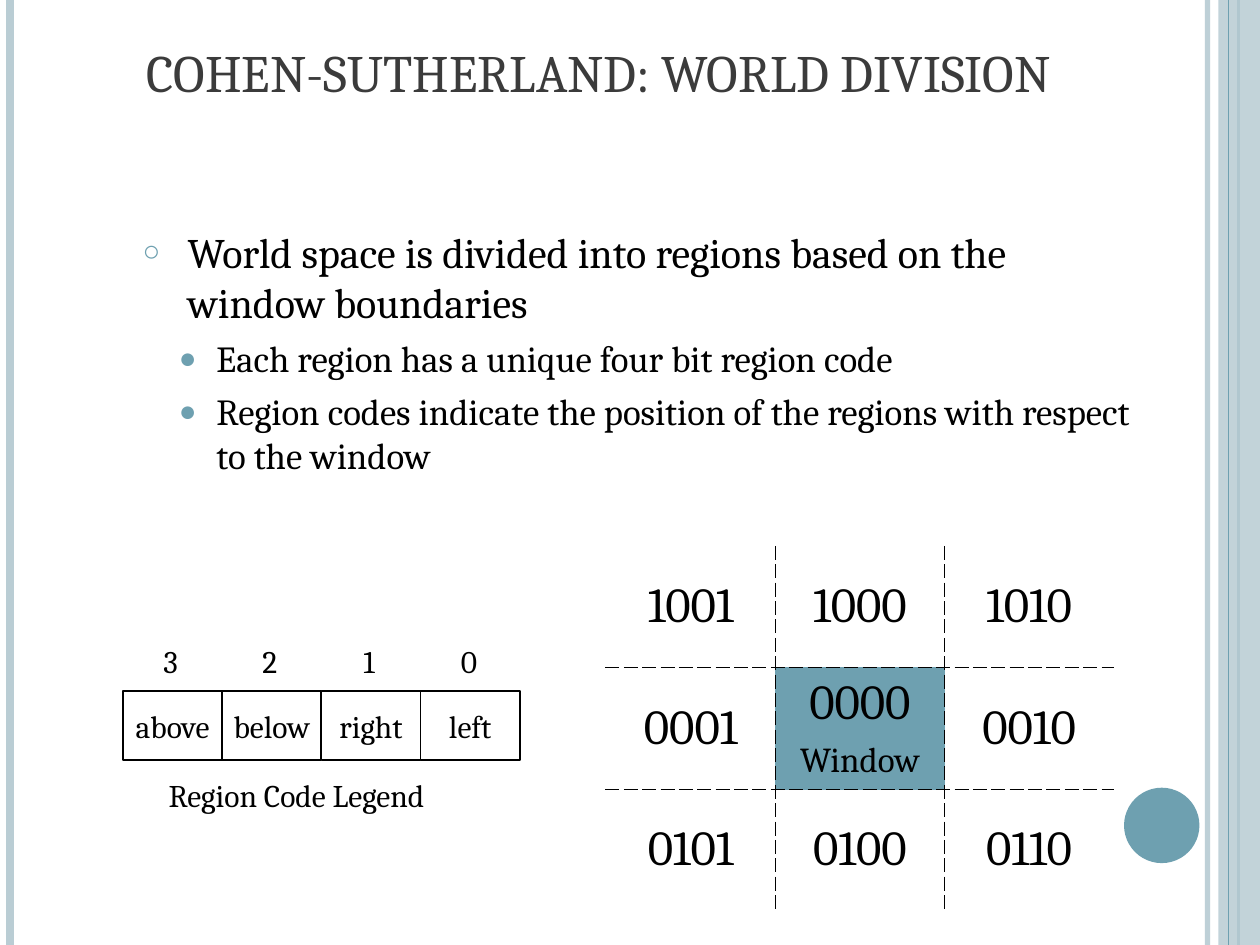
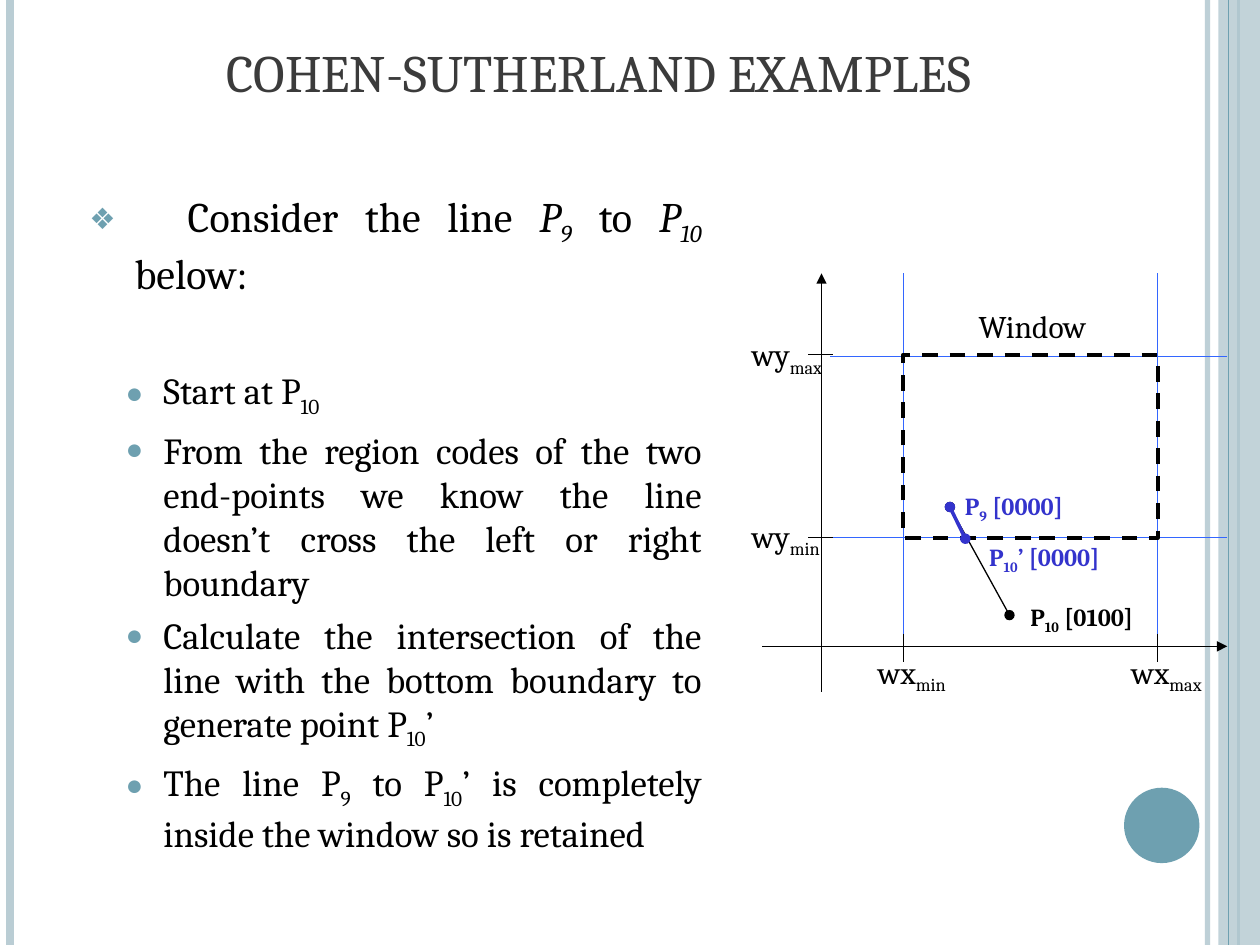
from lxml.etree import SubElement as Sub
from pptx import Presentation
from pptx.dml.color import RGBColor
from pptx.enum.dml import MSO_LINE as Dash
from pptx.enum.shapes import MSO_CONNECTOR as Link, MSO_SHAPE as Kind
from pptx.enum.text import MSO_ANCHOR as Anchor, MSO_AUTO_SIZE as Fit, PP_ALIGN as Align
from pptx.oxml import parse_xml
from pptx.oxml.ns import nsdecls, qn
from pptx.util import Cm, Pt

# Shared look
FONT = "Cambria"
TEAL, PALE, GREY = "6EA0B0", "BACDD4", "3B3B3B"
BLACK, GUIDE, BLUE = "000000", "3366FF", "3333CC"
WIDE, HIGH = 25.4, 19.05
TITLE = (1.7, 0, 20.75, 2.21)
STRIPES = [(24.34, PALE, 3), (0.21, PALE, 4.5), (24.97, TEAL, 1.5)]
LEVELS = [  # margin, hang, size, space before, bullet size
    (1.19, 0.91, 24, 6, 70),
    (1.77, 0.76, 21, 5.2, 80),
]
STOP = 2.26

# Content: _ marks a subscript, * marks italics
WORLD = {
    "title": "COHEN-SUTHERLAND: WORLD DIVISION",
    "box": (2.34, 4.43, 20.75, 13.54),
    "align": Align.LEFT,
    "gap": 5.2,
    "list": [
        (0, "○", "World space is divided into regions based on the window boundaries"),
        (1, "●", "Each region has a unique four bit region code"),
        (1, "●", "Region codes indicate the position of the regions with respect to the window"),
    ],
}
CASE = {
    "title": "COHEN-SUTHERLAND EXAMPLES",
    "box": (1.27, 3.71, 13.13, 12.8),
    "align": Align.JUSTIFY,
    "gap": 40,
    "list": [
        (0, "❖", "\tConsider the line *P_9_* to *P_10_* below:"),
        (1, "●", "Start at P_10_"),
        (1, "●", "From the region codes of the two end-points we know the line "
                 "doesn’t cross the left or right boundary"),
        (1, "●", "Calculate the intersection of the line with the bottom boundary "
                 "to generate point P_10_’"),
        (1, "●", "The line P_9_ to P_10_’ is completely inside the window so is retained"),
    ],
}
CODES = [
    ["1001", "1000", "1010"],
    ["0001", "0000", "0010"],
    ["0101", "0100", "0110"],
]
BITS = [("3", "above"), ("2", "below"), ("1", "right"), ("0", "left")]

# Graph measures
LEFT, RIGHT, TOP, BASE = 18.21, 23.34, 7.15, 10.84
AXIS_X, AXIS_Y, FAR, PEAK = 16.56, 13.03, 24.74, 5.51
P9, CUT, P10 = (19.15, 10.22), (19.46, 10.86), (20.35, 12.4)
LABELS = [
    ("wy_max_", (14.91, 6.63, 2, 1.12), 18, BLACK),
    ("wy_min_", (14.91, 10.29, 1.95, 1.12), 18, BLACK),
    ("wx_min_", (17.45, 13.03, 1.95, 1.12), 18, BLACK),
    ("wx_max_", (22.56, 13.03, 2, 1.12), 18, BLACK),
    ("Window", (19.48, 6.07, 2.75, 1.02), 18, BLACK),
    ("P_10_ [0100]", (20.52, 12.01, 2.65, 0.94), 14, BLACK),
    ("P_9_ [0000]", (19.2, 9.78, 2.55, 0.94), 14, BLUE),
    ("P_10_’ [0000]", (19.69, 10.8, 2.8, 0.94), 14, BLUE),
]


def rgb(code):
    return RGBColor.from_string(code)


def cms(box):
    return [Cm(n) for n in box]


def write(para, text, size, color=BLACK, bold=False):
    """Add the text run by run, reading the _ and * marks."""
    for i, part in enumerate(text.split("*")):
        for j, bit in enumerate(part.split("_")):
            if not bit:
                continue
            run = para.add_run()
            run.text = bit
            font = run.font
            font.name, font.size, font.bold = FONT, Pt(size), bold
            font.italic = i % 2 == 1
            font.color.rgb = rgb(color)
            if j % 2:
                font._element.set("baseline", "-25000")


def fade(fill, share):
    """Make a solid fill partly transparent."""
    tint = fill._xPr.find(qn("a:solidFill"))[0]
    Sub(tint, qn("a:alpha"), val=str(share * 1000))


def draw(slide, start, end, color=BLACK, width=0.75, head=None, tail=None):
    line = slide.shapes.add_connector(Link.STRAIGHT, *cms(start + end))
    line.line.color.rgb = rgb(color)
    line.line.width = Pt(width)
    for tag, tip in (("a:headEnd", head), ("a:tailEnd", tail)):
        if tip:
            Sub(line.line._get_or_add_ln(), qn(tag), type=tip)
    Sub(line._element.spPr, qn("a:effectLst"))
    return line


def block(slide, kind, box, fill=None, edge=None, width=1):
    shape = slide.shapes.add_shape(kind, *cms(box))
    shape.shadow.inherit = False
    if fill:
        shape.fill.solid()
        shape.fill.fore_color.rgb = rgb(fill)
    else:
        shape.fill.background()
    if edge:
        shape.line.color.rgb = rgb(edge)
        shape.line.width = Pt(width)
    else:
        shape.line.fill.background()
    return shape


def label(slide, text, box, size=18, color=BLACK, bold=False, align=Align.LEFT):
    frame = slide.shapes.add_textbox(*cms(box)).text_frame
    frame.word_wrap = False
    frame.auto_size = Fit.SHAPE_TO_FIT_TEXT
    para = frame.paragraphs[0]
    para.alignment = align
    write(para, text, size, color, bold)


def place(holder, box):
    holder.left, holder.top, holder.width, holder.height = cms(box)
    frame = holder.text_frame
    frame.auto_size = Fit.NONE
    return frame


def bullet(para, mark, scale):
    props = para._p.get_or_add_pPr()
    tint = Sub(props, qn("a:buClr"))
    Sub(tint, qn("a:srgbClr"), val=TEAL)
    Sub(props, qn("a:buSzPct"), val=str(scale * 1000))
    Sub(props, qn("a:buChar"), char=mark)


def start(deck, data):
    """Add a slide with the side bands, title and list."""
    slide = deck.slides.add_slide(deck.slide_layouts[1])
    for x, color, width in STRIPES:
        line = draw(slide, (x, 0), (x, HIGH), color, width)
        if width == 3:
            fade(line.line.fill, 93)
    band = block(slide, Kind.RECTANGLE, (24.56, 0, 0.84, HIGH), PALE)
    fade(band.fill, 87)
    draw(slide, (24.77, 0), (24.77, HIGH), TEAL)
    block(slide, Kind.OVAL, (22.66, 15.88, 1.52, 1.52), TEAL)

    frame = place(slide.shapes.title, TITLE)
    frame.vertical_anchor = Anchor.BOTTOM
    frame.paragraphs[0].alignment = Align.CENTER
    write(frame.paragraphs[0], data["title"], 30, GREY)

    frame = place(slide.placeholders[1], data["box"])
    for i, (level, mark, text) in enumerate(data["list"]):
        para = frame.paragraphs[0] if i == 0 else frame.add_paragraph()
        margin, hang, size, space, scale = LEVELS[level]
        bullet(para, mark, scale)
        props = para._p.get_or_add_pPr()
        if text.startswith("\t"):
            tabs = Sub(props, qn("a:tabLst"))
            Sub(tabs, qn("a:tab"), pos=str(Cm(STOP)), algn="l")
        props.set("marL", str(Cm(margin)))
        props.set("indent", str(-Cm(hang)))
        para.level, para.alignment = level, data["align"]
        para.space_before = Pt((0, data["gap"])[i] if i < 2 else space)
        write(para, text, size)
    return slide


def border(cell, sides):
    props = cell._tc.get_or_add_tcPr()
    for i, side in enumerate(sides):
        props.insert(i, parse_xml(
            f'<a:ln{side} {nsdecls("a")} w="5715"><a:solidFill>'
            f'<a:srgbClr val="{BLACK}"/></a:solidFill>'
            f'<a:prstDash val="dash"/></a:ln{side}>'))


def regions(slide):
    """Nine region codes, with dashed lines between them only."""
    table = slide.shapes.add_table(3, 3, *cms((12.22, 11.02, 10.23, 7.34))).table
    table.first_row = table.horz_banding = False
    for n, high in enumerate((2.43, 2.47, 2.43)):
        table.columns[n].width, table.rows[n].height = Cm(3.41), Cm(high)
    for r, codes in enumerate(CODES):
        for c, code in enumerate(codes):
            cell = table.cell(r, c)
            cell.vertical_anchor = Anchor.MIDDLE
            frame = cell.text_frame
            write(frame.paragraphs[0], code, 28)
            if r == c == 1:
                cell.fill.solid()
                cell.fill.fore_color.rgb = rgb(TEAL)
                para = frame.add_paragraph()
                para.space_before = Pt(5)
                write(para, "Window", 20)
            else:
                cell.fill.background()
            for para in frame.paragraphs:
                para.alignment = Align.CENTER
            inner = (("L", c > 0), ("R", c < 2), ("T", r > 0), ("B", r < 2))
            border(cell, [side for side, on in inner if on])


def legend(slide):
    """Bit numbers above a row of named cells."""
    step = 2
    for i, (bit, name) in enumerate(BITS):
        x = 2.48 + i * step
        cell = block(slide, Kind.RECTANGLE, (x, 13.93, step, 1.4), edge=BLACK)
        frame = cell.text_frame
        frame.word_wrap = False
        frame.vertical_anchor = Anchor.MIDDLE
        frame.paragraphs[0].alignment = Align.CENTER
        write(frame.paragraphs[0], name, 18)
        label(slide, bit, (x + 0.56, 12.82, 0.8, 1.02), align=Align.CENTER)
    label(slide, "Region Code Legend", (3.15, 15.52, 5.7, 1.02))


def graph(slide):
    """Axes, clip window and the clipped line."""
    for x in (LEFT, RIGHT):
        draw(slide, (x, PEAK), (x, 12.88), GUIDE)
    for y in (TOP + 0.04, BASE):
        draw(slide, (FAR, y), (16.74, y), GUIDE)
    draw(slide, (15.37, AXIS_Y), (FAR, AXIS_Y), tail="triangle")
    draw(slide, (AXIS_X, 13.94), (AXIS_X, PEAK), tail="triangle")
    box = (LEFT, TOP, RIGHT - LEFT, BASE - TOP)
    window = block(slide, Kind.RECTANGLE, box, edge=BLACK, width=2.25)
    window.line.dash_style = Dash.DASH
    for y in (TOP, BASE):
        draw(slide, (16.79, y), (16.28, y))
    for x in (LEFT, RIGHT):
        draw(slide, (x, 12.78), (x, 13.34))

    draw(slide, P9, P10, head="oval", tail="oval")
    block(slide, Kind.OVAL, (CUT[0] - 0.09, CUT[1] - 0.09, 0.18, 0.18), BLUE)
    draw(slide, P9, CUT, BLUE, 2, "oval", "oval")
    for text, box, size, color in LABELS:
        label(slide, text, box, size, color, bold=size == 14)


def main():
    deck = Presentation()
    deck.slide_width, deck.slide_height = Cm(WIDE), Cm(HIGH)
    world = start(deck, WORLD)
    regions(world)
    legend(world)
    graph(start(deck, CASE))
    deck.save("out.pptx")


if __name__ == "__main__":
    main()
